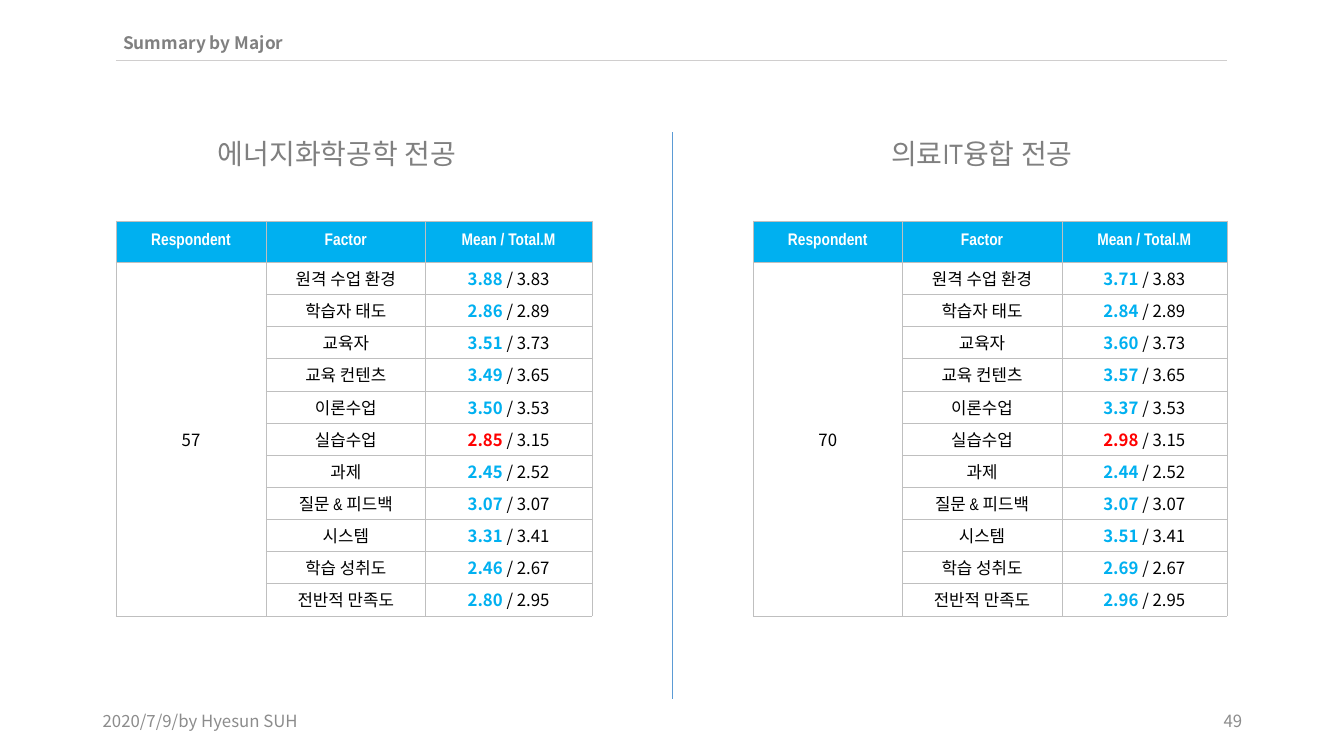
"""Build a slide that compares survey means for two majors."""
from dataclasses import dataclass

from lxml import etree
from pptx import Presentation
from pptx import util as u
from pptx.dml.color import RGBColor
from pptx.enum import shapes, text
from pptx.oxml import ns

SKY = RGBColor(0x00, 0xB0, 0xF0)
RED = RGBColor(0xFF, 0x00, 0x00)
BLACK = RGBColor(0x00, 0x00, 0x00)
WHITE = RGBColor(0xFF, 0xFF, 0xFF)
GRAY = RGBColor(0x80, 0x80, 0x80)
PALE = RGBColor(0x8C, 0x8C, 0x8C)
RULE = RGBColor(0xD0, 0xCE, 0xCE)
BLUE = RGBColor(0x5B, 0x9B, 0xD5)
EDGE = RGBColor(0xBF, 0xBF, 0xBF)

SANS = "Noto Sans CJK KR"
SLIM = "Arial Narrow"
LEFT, CENTER, RIGHT = text.PP_ALIGN.LEFT, text.PP_ALIGN.CENTER, text.PP_ALIGN.RIGHT
TOP, MIDDLE = text.MSO_ANCHOR.TOP, text.MSO_ANCHOR.MIDDLE

HEADS = ("Respondent", "Factor", "Mean / Total.M")
FACTORS = ("원격 수업 환경", "학습자 태도", "교육자", "교육 컨텐츠", "이론수업", "실습수업",
           "과제", "질문 & 피드백", "시스템", "학습 성취도", "전반적 만족도")
TOTALS = (3.83, 2.89, 3.73, 3.65, 3.53, 3.15, 2.52, 3.07, 3.41, 2.67, 2.95)
ALERT = "실습수업"
TABLE_TOP, TABLE_TALL, HEAD_TALL = 2.19, 3.92, 0.41


@dataclass(frozen=True)
class Run:
    """A stretch of text with one look."""
    words: str
    size: float = 12
    face: str = SANS
    color: RGBColor = BLACK
    bold: bool = False


@dataclass(frozen=True)
class Label:
    """A text box with one run."""
    run: Run
    box: tuple[float, float, float, float]
    align: text.PP_ALIGN = LEFT
    anchor: text.MSO_ANCHOR = TOP


@dataclass(frozen=True)
class Line:
    """A thin straight line."""
    start: tuple[float, float]
    end: tuple[float, float]
    color: RGBColor


@dataclass(frozen=True)
class Major:
    """The survey results of one major."""
    left: float
    widths: tuple[float, ...]
    count: int
    means: tuple[float, ...]


LABELS = (
    Label(Run("에너지화학공학 전공", 20, SLIM, GRAY), (2.06, 1.31, 2.89, 0.44)),
    Label(Run("의료IT융합 전공", 20, SLIM, GRAY), (8.74, 1.31, 2.16, 0.44)),
    Label(Run("2020/7/9/by Hyesun SUH", color=PALE), (0.92, 6.95, 3, 0.4), LEFT, MIDDLE),
    Label(Run("49", color=PALE), (9.42, 6.95, 3, 0.4), RIGHT, MIDDLE),
)
LINES = (
    Line((1.15, 0.6), (12.17, 0.6), RULE),
    Line((6.67, 6.93), (6.67, 1.31), BLUE),
)
MAJORS = (
    Major(1.15, (1.49, 1.58, 1.65), 57,
          (3.88, 2.86, 3.51, 3.49, 3.50, 2.85, 2.45, 3.07, 3.31, 2.46, 2.80)),
    Major(7.47, (1.48, 1.58, 1.64), 70,
          (3.71, 2.84, 3.60, 3.57, 3.37, 2.98, 2.44, 3.07, 3.51, 2.69, 2.96)),
)


def write(frame, runs: tuple[Run, ...], align: text.PP_ALIGN) -> None:
    """Write runs into the first paragraph of a frame."""
    para = frame.paragraphs[0]
    para.alignment = align
    for item in runs:
        run = para.add_run()
        run.text = item.words
        font = run.font
        font.size, font.bold, font.name = u.Pt(item.size), item.bold, item.face
        font.color.rgb = item.color
        east = etree.SubElement(run._r.get_or_add_rPr(), ns.qn("a:ea"))
        east.set("typeface", SANS)


def draw_title(slide) -> None:
    """Place and fill the title."""
    title = slide.shapes.title
    title.left, title.top = u.Inches(1.15), u.Inches(0.29)
    title.width, title.height = u.Inches(6.7), u.Inches(0.28)
    frame = title.text_frame
    frame.vertical_anchor = TOP
    frame.auto_size = text.MSO_AUTO_SIZE.NONE
    frame.margin_left = frame.margin_right = u.Inches(0.07)
    frame.margin_top = frame.margin_bottom = u.Inches(0.03)
    write(frame, (Run("Summary by Major", 12.3, SANS, GRAY, True),), LEFT)


def draw_label(slide, label: Label) -> None:
    """Add one text box."""
    frame = slide.shapes.add_textbox(*map(u.Inches, label.box)).text_frame
    frame.word_wrap = True
    frame.vertical_anchor = label.anchor
    write(frame, (label.run,), label.align)


def draw_line(slide, line: Line) -> None:
    """Add one line without a shadow."""
    ends = map(u.Inches, line.start + line.end)
    link = slide.shapes.add_connector(shapes.MSO_CONNECTOR.STRAIGHT, *ends)
    link.line.color.rgb = line.color
    link.line.width = u.Pt(0.5)
    etree.SubElement(link._element.spPr, ns.qn("a:effectLst"))


def edge(cell) -> None:
    """Draw the four borders of a cell."""
    props = cell._tc.get_or_add_tcPr()
    for spot, side in enumerate(("lnL", "lnR", "lnT", "lnB")):
        line = etree.Element(ns.qn(f"a:{side}"), w=str(u.Pt(0.25)))
        fill = etree.SubElement(line, ns.qn("a:solidFill"))
        etree.SubElement(fill, ns.qn("a:srgbClr"), val=str(EDGE))
        props.insert(spot, line)


def fill_cell(cell, *runs: Run) -> None:
    """Centre runs in a cell."""
    cell.vertical_anchor = MIDDLE
    write(cell.text_frame, runs, CENTER)


def draw_table(slide, major: Major) -> None:
    """Add the table of one major."""
    count = len(FACTORS)
    box = (major.left, TABLE_TOP, sum(major.widths), TABLE_TALL)
    table = slide.shapes.add_table(count + 1, len(HEADS), *map(u.Inches, box)).table
    table.first_row = table.horz_banding = False
    for col, width in zip(table.columns, major.widths):
        col.width = u.Inches(width)
    for num, row in enumerate(table.rows):
        row.height = u.Inches((TABLE_TALL - HEAD_TALL) / count if num else HEAD_TALL)
        for cell in row.cells:
            cell.margin_top = cell.margin_bottom = u.Inches(0.03)
            cell.fill.background()
            edge(cell)
    for col, head in enumerate(HEADS):
        cell = table.cell(0, col)
        cell.fill.solid()
        cell.fill.fore_color.rgb = SKY
        fill_cell(cell, Run(head, 12, SLIM, WHITE, True))
    table.cell(1, 0).merge(table.cell(count, 0))
    fill_cell(table.cell(1, 0), Run(str(major.count)))
    for num, (factor, mean, total) in enumerate(zip(FACTORS, major.means, TOTALS), 1):
        face = SANS if num == 1 else SLIM
        color = RED if factor == ALERT else SKY
        fill_cell(table.cell(num, 1), Run(factor, face=face))
        fill_cell(table.cell(num, 2), Run(f"{mean:.2f}", color=color, bold=True),
                  Run(f" / {total:.2f}"))


def main() -> None:
    """Build and save the deck."""
    deck = Presentation()
    deck.slide_width, deck.slide_height = u.Inches(13.33), u.Inches(7.5)
    slide = deck.slides.add_slide(deck.slide_layouts.get_by_name("Title Only"))
    draw_title(slide)
    for line in LINES:
        draw_line(slide, line)
    for label in LABELS:
        draw_label(slide, label)
    for major in MAJORS:
        draw_table(slide, major)
    deck.save("out.pptx")


if __name__ == "__main__":
    main()
